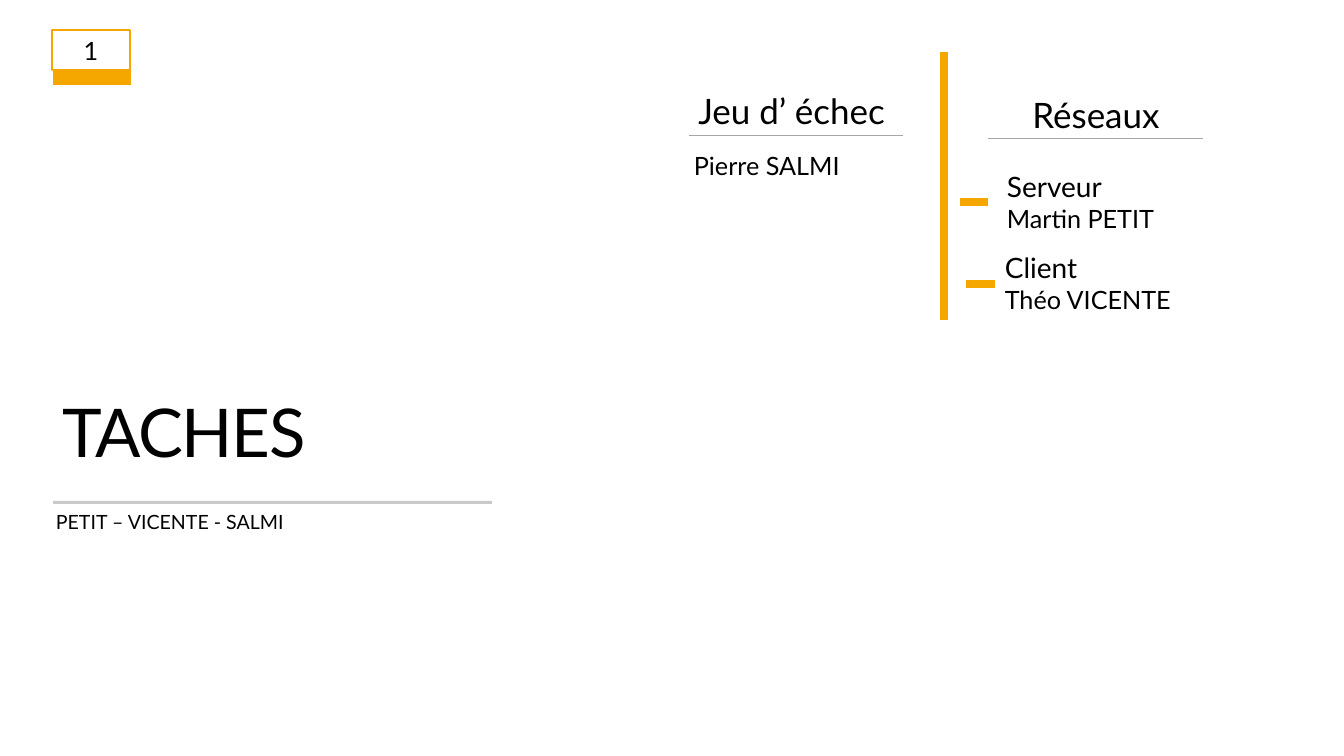
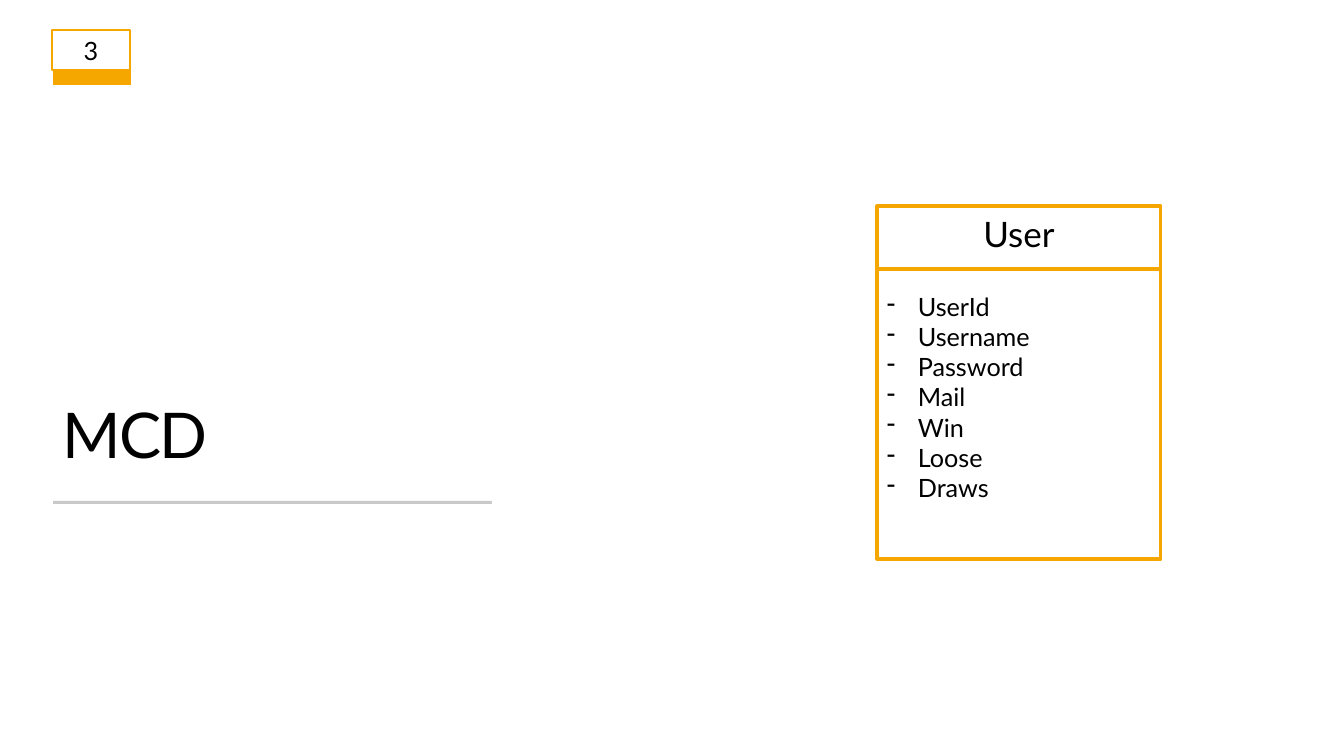
"""Build two slides: the task split and the user entity of the data model."""
from dataclasses import dataclass
from typing import Any

import lxml.etree
import pptx
import pptx.dml.color
import pptx.enum.shapes
import pptx.enum.text
import pptx.oxml.ns
import pptx.util

PIXELS_WIDE, PIXELS_HIGH = 1344, 756
EMU_PER_PIXEL = 12192000 / PIXELS_WIDE
TITLE_ONLY_LAYOUT = 5
LEFT = pptx.enum.text.PP_ALIGN.LEFT
CENTER = pptx.enum.text.PP_ALIGN.CENTER


@dataclass(frozen=True)
class Theme:
    """Colours, font and type sizes of the presentation."""

    font: str = "Lato"
    text: str = "000000"
    accent: str = "F5A700"
    rule: str = "C9C9C9"
    hairline: str = "A5A5A5"
    heading: int = 25
    role: int = 20
    body: int = 18
    caption: int = 14


@dataclass(frozen=True)
class Box:
    """A rectangle in pixels."""

    left: int
    top: int
    width: int
    height: int


@dataclass(frozen=True)
class Label:
    """A text box with one size per line."""

    box: Box
    lines: tuple[str, ...]
    sizes: tuple[int, ...]
    alignment: Any = LEFT
    dashed: bool = False


@dataclass(frozen=True)
class Line:
    """A straight line in pixels, with its weight in points."""

    start: tuple[int, int]
    end: tuple[int, int]
    weight: float
    color: str


THEME = Theme()
BADGE = Box(52, 30, 78, 40)
BADGE_BAND = Box(53, 69, 78, 16)
TITLE_RULE = Box(53, 501, 438, 2)
ENTITY = Box(877, 206, 284, 353)
LIST_INDENT = 31

TASK_LABELS = (
    Label(Box(46, 505, 444, 34), ("PETIT – VICENTE - SALMI",), (THEME.caption,)),
    Label(Box(648, 85, 296, 52), ("Jeu d’\u00a0échec ",), (THEME.heading,), CENTER),
    Label(Box(948, 89, 296, 52), ("Réseaux",), (THEME.heading,), CENTER),
    Label(Box(684, 145, 244, 40), ("Pierre SALMI",), (THEME.body,)),
    Label(Box(997, 165, 309, 75), ("Serveur", "Martin PETIT"), (THEME.role, THEME.body)),
    Label(Box(995, 246, 309, 75), ("Client", "Théo VICENTE"), (THEME.role, THEME.body)),
)
TASK_LINES = (
    Line((944, 52), (944, 320), 6, THEME.accent),
    Line((689, 135), (903, 135), 0.5, THEME.hairline),
    Line((988, 138), (1203, 138), 0.5, THEME.hairline),
    Line((960, 202), (988, 202), 6, THEME.accent),
    Line((966, 284), (995, 284), 6, THEME.accent),
)
USER_FIELDS = ("UserId", "Username", "Password", "Mail", "Win", "Loose", "Draws")
ENTITY_LABELS = (
    Label(Box(877, 208, 284, 52), ("User",), (THEME.heading,), CENTER),
    Label(Box(877, 286, 284, 285), USER_FIELDS, (THEME.body,) * len(USER_FIELDS), dashed=True),
)
ENTITY_DIVIDER = Line((877, 269), (1161, 269), 2.25, THEME.accent)


def emu(pixels: int) -> int:
    """Turn pixels into EMU."""
    return round(pixels * EMU_PER_PIXEL)


def place(box: Box) -> tuple[int, int, int, int]:
    """Give the box as left, top, width and height in EMU."""
    return emu(box.left), emu(box.top), emu(box.width), emu(box.height)


def rgb(color: str) -> Any:
    """Turn a hexadecimal string into a colour."""
    return pptx.dml.color.RGBColor.from_string(color)


def format_paragraph(paragraph: Any, size: int, alignment: Any = LEFT) -> None:
    """Apply the theme font to all runs of a paragraph."""
    paragraph.alignment = alignment
    for run in paragraph.runs:
        run.font.name = THEME.font
        run.font.size = pptx.util.Pt(size)
        run.font.color.rgb = rgb(THEME.text)


def add_dash(paragraph: Any) -> None:
    """Give a paragraph a hanging dash bullet."""
    properties = paragraph._p.get_or_add_pPr()
    properties.set("marL", str(emu(LIST_INDENT)))
    properties.set("indent", str(-emu(LIST_INDENT)))
    bullet = lxml.etree.SubElement(properties, pptx.oxml.ns.qn("a:buChar"))
    bullet.set("char", "-")


def add_label(slide: Any, label: Label) -> None:
    """Draw a text box."""
    text_frame = slide.shapes.add_textbox(*place(label.box)).text_frame
    text_frame.word_wrap = True
    text_frame.text = "\n".join(label.lines)
    for paragraph, size in zip(text_frame.paragraphs, label.sizes):
        format_paragraph(paragraph, size, label.alignment)
        if label.dashed:
            add_dash(paragraph)


def add_line(slide: Any, line: Line) -> None:
    """Draw a straight line without a shadow."""
    connector = slide.shapes.add_connector(
        pptx.enum.shapes.MSO_CONNECTOR.STRAIGHT,
        *map(emu, line.start + line.end),
    )
    connector.line.color.rgb = rgb(line.color)
    connector.line.width = pptx.util.Pt(line.weight)
    lxml.etree.SubElement(connector._element.spPr, pptx.oxml.ns.qn("a:effectLst"))


def add_rectangle(slide: Any, box: Box, color: str, weight: float = 0, filled: bool = False) -> Any:
    """Draw a rectangle, filled or outlined in one colour."""
    shape = slide.shapes.add_shape(pptx.enum.shapes.MSO_SHAPE.RECTANGLE, *place(box))
    shape.shadow.inherit = False
    if filled:
        shape.fill.solid()
        shape.fill.fore_color.rgb = rgb(color)
    else:
        shape.fill.background()
    if weight:
        shape.line.color.rgb = rgb(color)
        shape.line.width = pptx.util.Pt(weight)
    else:
        shape.line.fill.background()
    return shape


def set_title(slide: Any, text: str, box: Box, size: int) -> None:
    """Move, fill and format the title placeholder."""
    title = slide.shapes.title
    title.left, title.top, title.width, title.height = place(box)
    text_frame = title.text_frame
    text_frame.text = text
    text_frame.word_wrap = True
    text_frame.auto_size = pptx.enum.text.MSO_AUTO_SIZE.NONE
    text_frame.vertical_anchor = pptx.enum.text.MSO_ANCHOR.BOTTOM
    paragraph = text_frame.paragraphs[0]
    paragraph.line_spacing = 0.9
    paragraph.space_after = pptx.util.Pt(6)
    format_paragraph(paragraph, size)
    paragraph.runs[0]._r.get_or_add_rPr().set("spc", "-100")


def add_slide(presentation: Any, title: str, title_box: Box, title_size: int, number: str) -> Any:
    """Add a slide with its title, title rule and number badge."""
    slide = presentation.slides.add_slide(presentation.slide_layouts[TITLE_ONLY_LAYOUT])
    set_title(slide, title, title_box, title_size)
    add_rectangle(slide, BADGE_BAND, THEME.accent, filled=True)
    add_rectangle(slide, TITLE_RULE, THEME.rule, 0.25, filled=True)
    badge = add_rectangle(slide, BADGE, THEME.accent, 1.5)
    badge.text_frame.text = number
    badge.text_frame.vertical_anchor = pptx.enum.text.MSO_ANCHOR.MIDDLE
    format_paragraph(badge.text_frame.paragraphs[0], THEME.body, CENTER)
    return slide


def build_tasks(presentation: Any) -> None:
    """Build the slide that shares out the tasks."""
    slide = add_slide(presentation, "TACHES", Box(52, 124, 444, 353), 48, "1")
    for label in TASK_LABELS:
        add_label(slide, label)
    for line in TASK_LINES:
        add_line(slide, line)


def build_data_model(presentation: Any) -> None:
    """Build the slide with the user entity."""
    slide = add_slide(presentation, "MCD", Box(52, 124, 535, 353), 45, "3")
    add_rectangle(slide, ENTITY, THEME.accent, 2.25)
    for label in ENTITY_LABELS:
        add_label(slide, label)
    add_line(slide, ENTITY_DIVIDER)


def main() -> None:
    """Build and save the presentation."""
    presentation = pptx.Presentation()
    presentation.slide_width = emu(PIXELS_WIDE)
    presentation.slide_height = emu(PIXELS_HIGH)
    build_tasks(presentation)
    build_data_model(presentation)
    presentation.save("out.pptx")


main()
